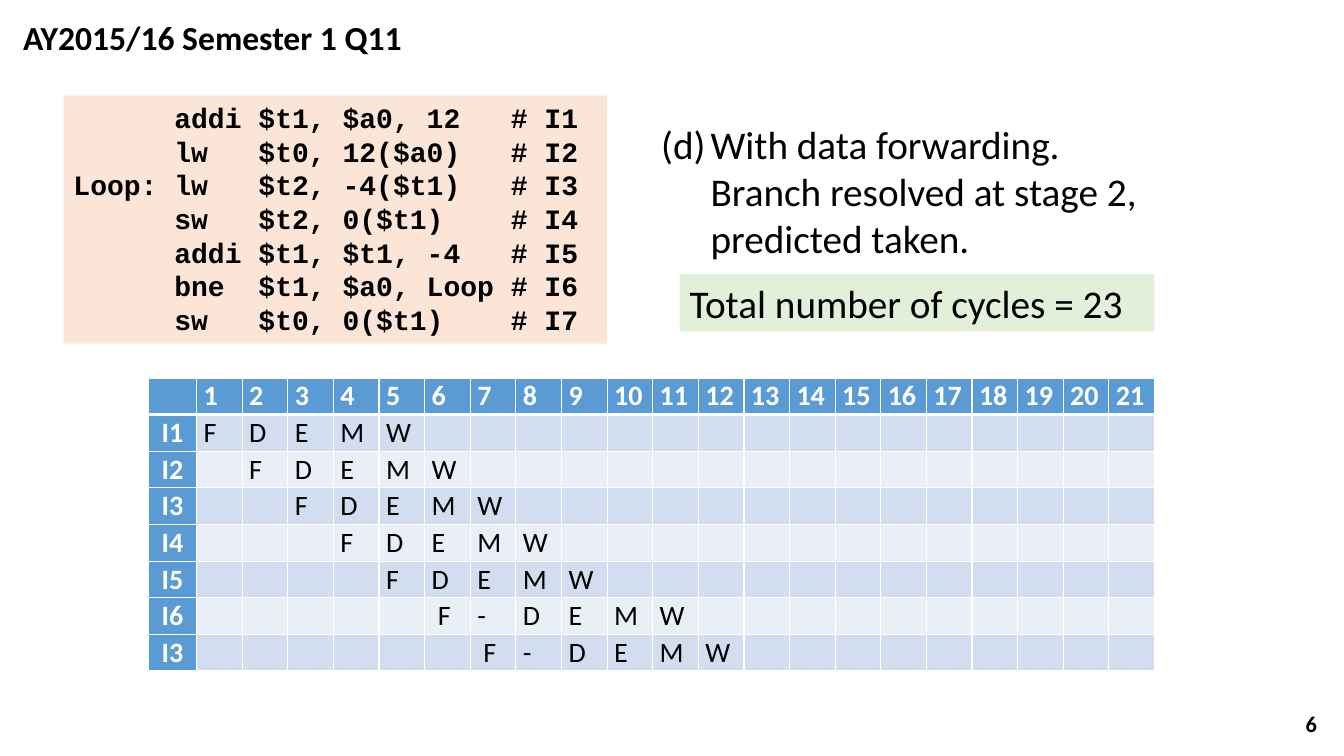
from lxml.etree import SubElement
from pptx import Presentation
from pptx.dml.color import RGBColor
from pptx.enum.shapes import MSO_SHAPE
from pptx.enum.text import MSO_ANCHOR, PP_ALIGN
from pptx.oxml.ns import qn
from pptx.util import Emu, Pt

CODE = """\
      addi $t1, $a0, 12   # I1
      lw   $t0, 12($a0)   # I2
Loop: lw   $t2, -4($t1)   # I3
      sw   $t2, 0($t1)    # I4
      addi $t1, $t1, -4   # I5
      bne  $t1, $a0, Loop # I6
      sw   $t0, 0($t1)    # I7"""
CYCLES = 21
PIPELINE = [("I1", 1, "FDEMW"), ("I2", 2, "FDEMW"), ("I3", 3, "FDEMW"),
            ("I4", 4, "FDEMW"), ("I5", 5, "FDEMW"), ("I6", 6, "F-DEMW"),
            ("I3", 7, "F-DEMW")]


def px(n):
    return Emu(round(n * 9144))


def rgb(color):
    return RGBColor.from_string(color)


class Deck:
    """Holds the deck style and the current slide, and adds elements to it."""

    font, mono = "Calibri", "Courier New"
    ink, white = "000000", "FFFFFF"
    header, bands = "5B9BD5", ("D2DEEF", "EAEFF7")

    def __init__(self, width, height):
        self.prs = Presentation()
        self.prs.slide_width, self.prs.slide_height = px(width), px(height)
        self.s = self.prs.slides.add_slide(self.prs.slide_layouts[6])

    def run(self, p, text, size, bold=False, color=ink, font=font):
        r = p.add_run()
        r.text = text
        r.font.size, r.font.bold, r.font.name = Pt(size), bold, font
        r.font.color.rgb = rgb(color)

    def fill_text(self, tf, lines, size, align=PP_ALIGN.LEFT, **style):
        tf.word_wrap = True
        for i, line in enumerate(lines):
            p = tf.add_paragraph() if i else tf.paragraphs[0]
            p.alignment = align
            self.run(p, line, size, **style)

    def text(self, x, y, w, h, line, size, anchor=MSO_ANCHOR.TOP, **style):
        tf = self.s.shapes.add_textbox(px(x), px(y), px(w), px(h)).text_frame
        tf.vertical_anchor = anchor
        self.fill_text(tf, [line], size, **style)

    def panel(self, x, y, w, h, fill, lines, size, **style):
        sp = self.s.shapes.add_shape(MSO_SHAPE.RECTANGLE, px(x), px(y), px(w), px(h))
        sp.shadow.inherit = False
        sp.fill.solid()
        sp.fill.fore_color.rgb = rgb(fill)
        sp.line.fill.background()
        sp.text_frame.vertical_anchor = MSO_ANCHOR.TOP
        self.fill_text(sp.text_frame, lines, size, **style)

    def question(self, x, y, w, h, label, lines, size, hang):
        tf = self.s.shapes.add_textbox(px(x), px(y), px(w), px(h)).text_frame
        tf.word_wrap = True
        p = tf.paragraphs[0]
        pPr = p._p.get_or_add_pPr()
        pPr.set("marL", str(px(hang)))
        pPr.set("indent", str(-px(hang)))
        tabs = SubElement(pPr, qn("a:tabLst"))
        SubElement(tabs, qn("a:tab"), pos=str(px(hang)), algn="l")
        self.run(p, f"{label}\t{lines[0]}", size)
        for line in lines[1:]:
            p.add_line_break()
            self.run(p, line, size)

    def borders(self, cell, **widths):
        tcPr = cell._tc.get_or_add_tcPr()
        for side in "LRTB":
            ln = SubElement(tcPr, qn(f"a:ln{side}"), w=str(Pt(widths.get(side, 1))))
            fill = SubElement(ln, qn("a:solidFill"))
            SubElement(fill, qn("a:srgbClr"), val=self.white)

    def cell(self, cell, row, col, text, inset=7):
        heading = row == 0 or col == 0
        cell.margin_left, cell.margin_right = px(inset), px(7)
        cell.margin_top = cell.margin_bottom = 0
        cell.vertical_anchor = MSO_ANCHOR.MIDDLE
        self.borders(cell, B=1 if row else 3, T=3 if row == 1 else 1)
        cell.fill.solid()
        cell.fill.fore_color.rgb = rgb(self.header if heading else self.bands[(row - 1) % 2])
        if text:
            p = cell.text_frame.paragraphs[0]
            p.alignment = PP_ALIGN.LEFT if col else PP_ALIGN.CENTER
            self.run(p, text, 20, heading, self.white if heading else self.ink)

    def timeline(self, x, y, w, h, label_w, cycles, pipeline):
        rows = [["", *map(str, range(1, cycles + 1))]]
        for name, start, stages in pipeline:
            rows.append([name, *[""] * (start - 1), *stages,
                         *[""] * (cycles - start + 1 - len(stages))])
        table = self.s.shapes.add_table(len(rows), cycles + 1,
                                        px(x), px(y), px(w), px(h)).table
        table.horz_banding = False
        for i, column in enumerate(table.columns):
            column.width = px((w - label_w) / cycles if i else label_w)
        for i, row in enumerate(rows):
            table.rows[i].height = px(h / len(rows))
            for j, text in enumerate(row):
                stalled = text == "F" and row[j + 1] == "-"
                self.cell(table.cell(i, j), i, j, text, 13 if stalled else 7)


def main():
    deck = Deck(1333, 750)
    deck.text(1016, 698, 300, 40, "6", 16, MSO_ANCHOR.MIDDLE,
              align=PP_ALIGN.RIGHT, bold=True)
    deck.question(646, 114, 560, 151, "(d)",
                  ["With data forwarding.", "Branch resolved at stage 2, predicted taken."],
                  28, 49)
    deck.panel(63, 95, 539, 246, "FBE5D6", CODE.split("\n"), 20,
               bold=True, font=deck.mono)
    deck.timeline(147, 375, 998, 291, 48, CYCLES, PIPELINE)
    deck.panel(674, 272, 471, 57, "E2F0D9", ["Total number of cycles = 23"], 28)
    deck.text(13, 12, 408, 50, "AY2015/16 Semester 1 Q11", 24, bold=True)
    deck.prs.save("out.pptx")


if __name__ == "__main__":
    main()
